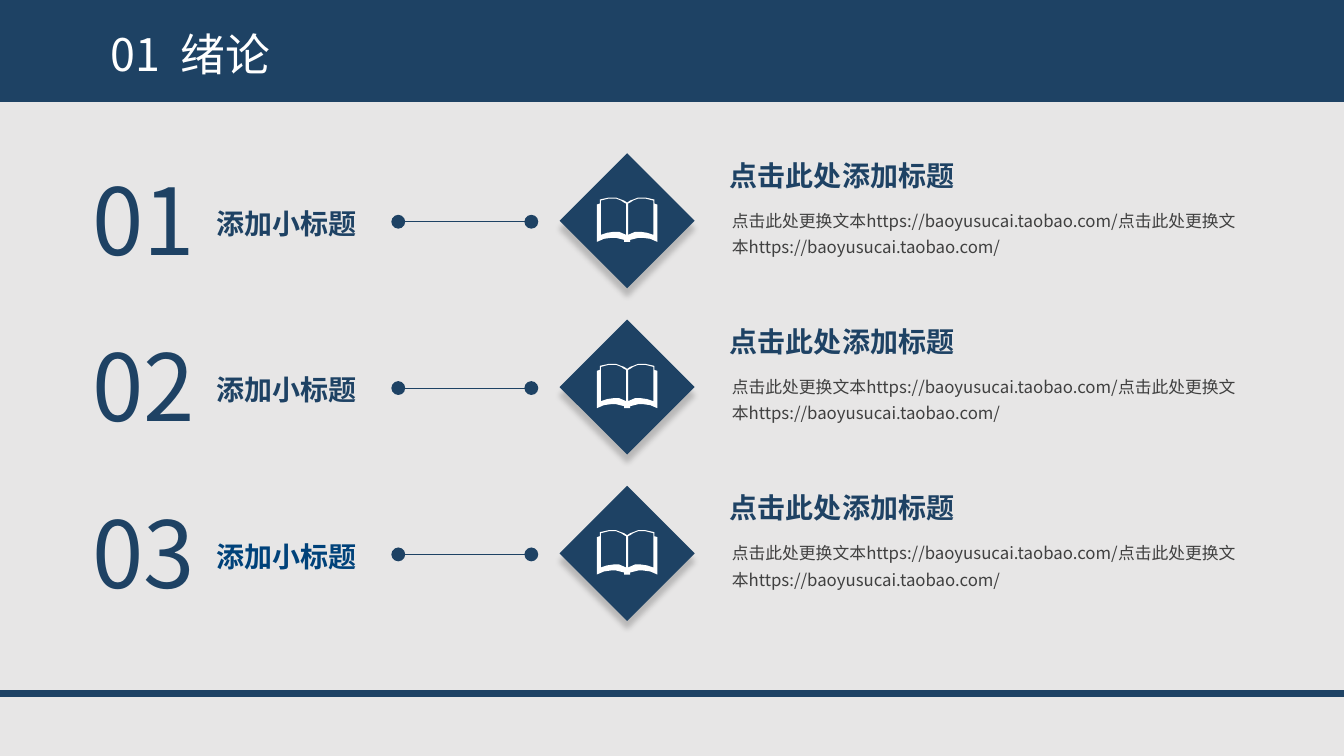
from lxml.etree import SubElement
from pptx import Presentation
from pptx.dml.color import RGBColor
from pptx.enum.shapes import MSO_CONNECTOR as Connector, MSO_SHAPE as Shape
from pptx.enum.text import MSO_ANCHOR as Anchor, MSO_AUTO_SIZE as AutoSize
from pptx.oxml import parse_xml
from pptx.oxml.ns import nsdecls, qn
from pptx.util import Inches, Pt


class Theme:
    navy = RGBColor.from_string("1E4264")
    bright = RGBColor.from_string("00427A")
    grey = RGBColor.from_string("404040")
    paper = RGBColor.from_string("E7E6E6")
    white = RGBColor.from_string("FFFFFF")
    font = "Noto Sans CJK SC"
    number, title, heading, body = 66, 32, 20, 12


def write(frame, words, size, colour, bold=False, spacing=None):
    paragraph = frame.paragraphs[0]
    paragraph.line_spacing = spacing
    run = paragraph.add_run()
    run.text = words
    run.font.size, run.font.bold, run.font.name = Pt(size), bold, Theme.font
    run.font.color.rgb = colour
    east_asian = SubElement(run.font._element, qn("a:ea"))
    east_asian.set("typeface", Theme.font)


def add_rule(left, right, y, weight):
    rule = slide.shapes.add_connector(
        Connector.STRAIGHT, Inches(left), Inches(y), Inches(right), Inches(y))
    rule.line.color.rgb, rule.line.width = Theme.navy, Pt(weight)
    SubElement(rule._element.spPr, qn("a:effectLst"))
    return rule


WIDTH, HEIGHT = 13.33, 7.5
deck = Presentation()
deck.slide_width, deck.slide_height = Inches(WIDTH), Inches(HEIGHT)
slide = deck.slides.add_slide(deck.slide_layouts[5])
slide.background.fill.solid()
slide.background.fill.fore_color.rgb = Theme.paper

# Header band, placed behind the title
band = slide.shapes.add_shape(Shape.RECTANGLE, 0, 0, Inches(WIDTH), Inches(1.01))
band.shadow.inherit = False
band.fill.solid()
band.fill.fore_color.rgb = Theme.navy
band.line.fill.background()
heading = slide.shapes.title
band._element.addnext(heading._element)
heading.left, heading.top = Inches(1), Inches(0.28)
heading.width, heading.height = Inches(6.04), Inches(0.72)
heading.text_frame.vertical_anchor = Anchor.TOP
heading.text_frame.auto_size = AutoSize.NONE
heading.text_frame.paragraphs[0].alignment = 1
write(heading.text_frame, "01  绪论", Theme.title, Theme.white, spacing=0.9)

# Right half of the open book, in hundredths of an inch from the diamond's centre
HALF_PAGE = [(0.7, -17), (3, -18.5), (6, -20.3), (11, -21.7), (14, -22), (18, -21.6),
             (26, -20), (26, 14), (20, 12), (13, 11), (8, 11.3), (0.7, 14)]
HALF_COVER = [(0, -18), (3, -19.7), (6, -21.4), (11, -23), (14, -23.2), (18, -23),
              (27, -21), (27, -17), (30, -16), (30, 21), (23, 18.4), (16, 17),
              (11, 16.8), (3, 19), (3, 21), (0, 21)]
mirrored_cover = [(-x, y) for x, y in reversed(HALF_COVER)]
mirrored_page = [(-x, y) for x, y in HALF_PAGE]
BOOK = [HALF_COVER + mirrored_cover, HALF_PAGE, mirrored_page]

SHADOW = (f'<a:effectLst {nsdecls("a")}><a:outerShdw blurRad="50800" dist="76200" '
          'dir="5400000" algn="t" rotWithShape="0"><a:srgbClr val="000000">'
          '<a:alpha val="20000"/></a:srgbClr></a:outerShdw></a:effectLst>')

FIRST_ROW, ROW_PITCH = 2.19, 1.65
DIAMOND_X, DIAMOND = 6.22, 1.34
HEADING = "点击此处添加标题"
BODY = "点击此处更换文本https://baoyusucai.taobao.com/" * 2

for row, label_colour in enumerate([Theme.navy, Theme.navy, Theme.bright]):
    middle = FIRST_ROW + row * ROW_PITCH

    # left, offset from the row's middle, width, height, wrap, then the text style
    texts = [
        (7.16, -0.21, 5.35, 0.62, True, BODY, Theme.body, Theme.grey, False, 1.3),
        (7.14, -0.67, 2.45, 0.44, False, HEADING, Theme.heading, Theme.navy, True),
        (0.82, -0.62, 1.29, 1.21, False, f"{row + 1:02}", Theme.number, Theme.navy),
        (2.05, -0.29, 2.36, 0.54, True, "添加小标题", Theme.heading, label_colour,
         True, 1.3),
    ]
    for left, offset, width, height, wrap, *style in texts:
        box = slide.shapes.add_textbox(Inches(left), Inches(middle + offset),
                                       Inches(width), Inches(height))
        box.text_frame.word_wrap = wrap
        box.text_frame.auto_size = AutoSize.SHAPE_TO_FIT_TEXT
        write(box.text_frame, *style)

    diamond = slide.shapes.add_shape(
        Shape.DIAMOND, Inches(DIAMOND_X - DIAMOND / 2), Inches(middle - DIAMOND / 2),
        Inches(DIAMOND), Inches(DIAMOND))
    diamond.fill.solid()
    diamond.fill.fore_color.rgb = Theme.navy
    diamond.line.fill.background()
    diamond._element.spPr.append(parse_xml(SHADOW))

    pen = slide.shapes.build_freeform(*BOOK[0][0], scale=Inches(0.01))
    for outline in BOOK:
        pen.move_to(*outline[0])
        pen.add_line_segments(outline[1:], close=True)
    book = pen.convert_to_shape(Inches(DIAMOND_X), Inches(middle))
    book.shadow.inherit = False
    book.fill.solid()
    book.fill.fore_color.rgb = Theme.white
    book.line.fill.background()

    link = add_rule(3.95, 5.27, middle + 0.01, 0.5)
    for end in ("a:headEnd", "a:tailEnd"):
        SubElement(link.line._get_or_add_ln(), qn(end), type="oval", w="lg", len="lg")

add_rule(0, WIDTH, 6.88, 5)
deck.save("out.pptx")
